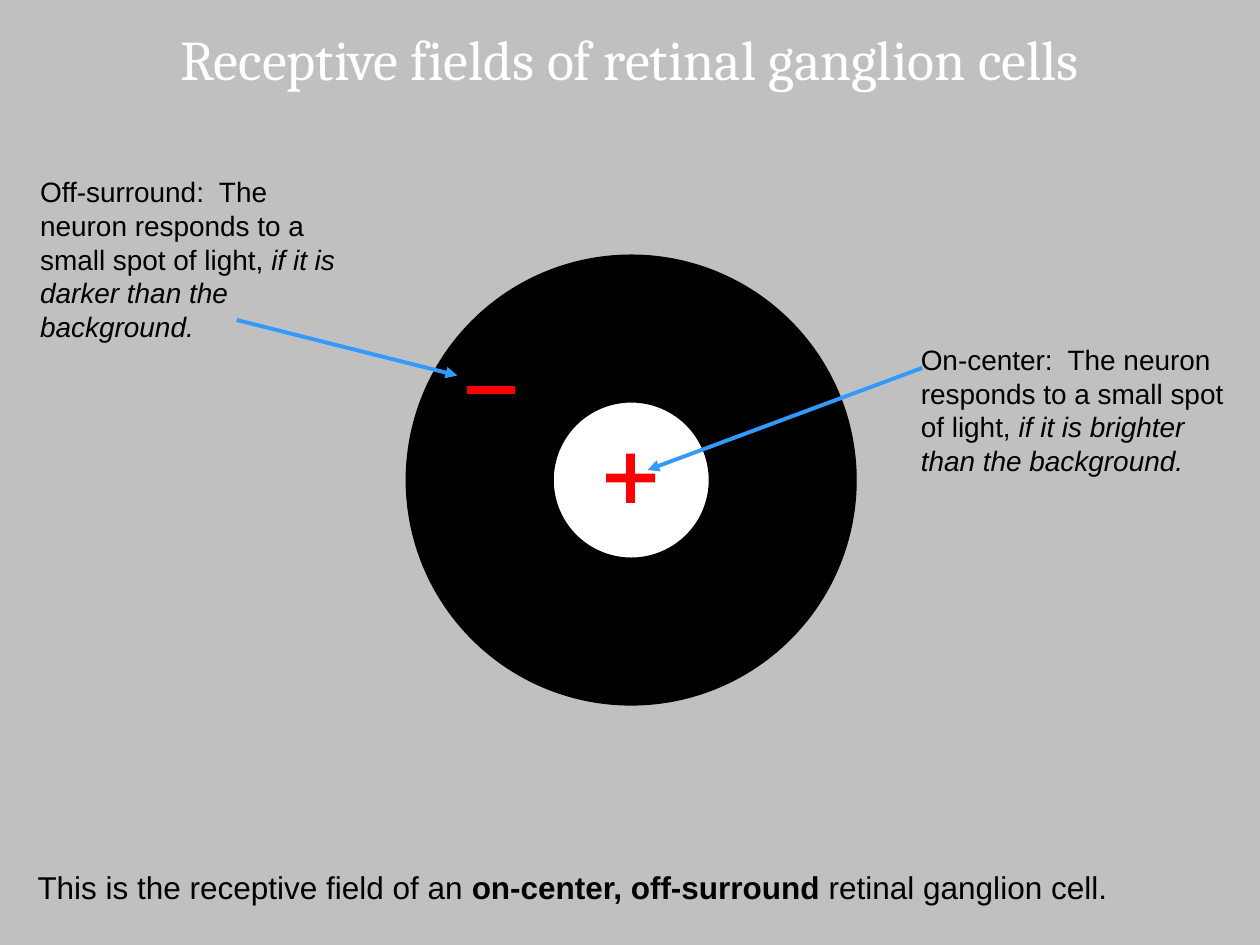
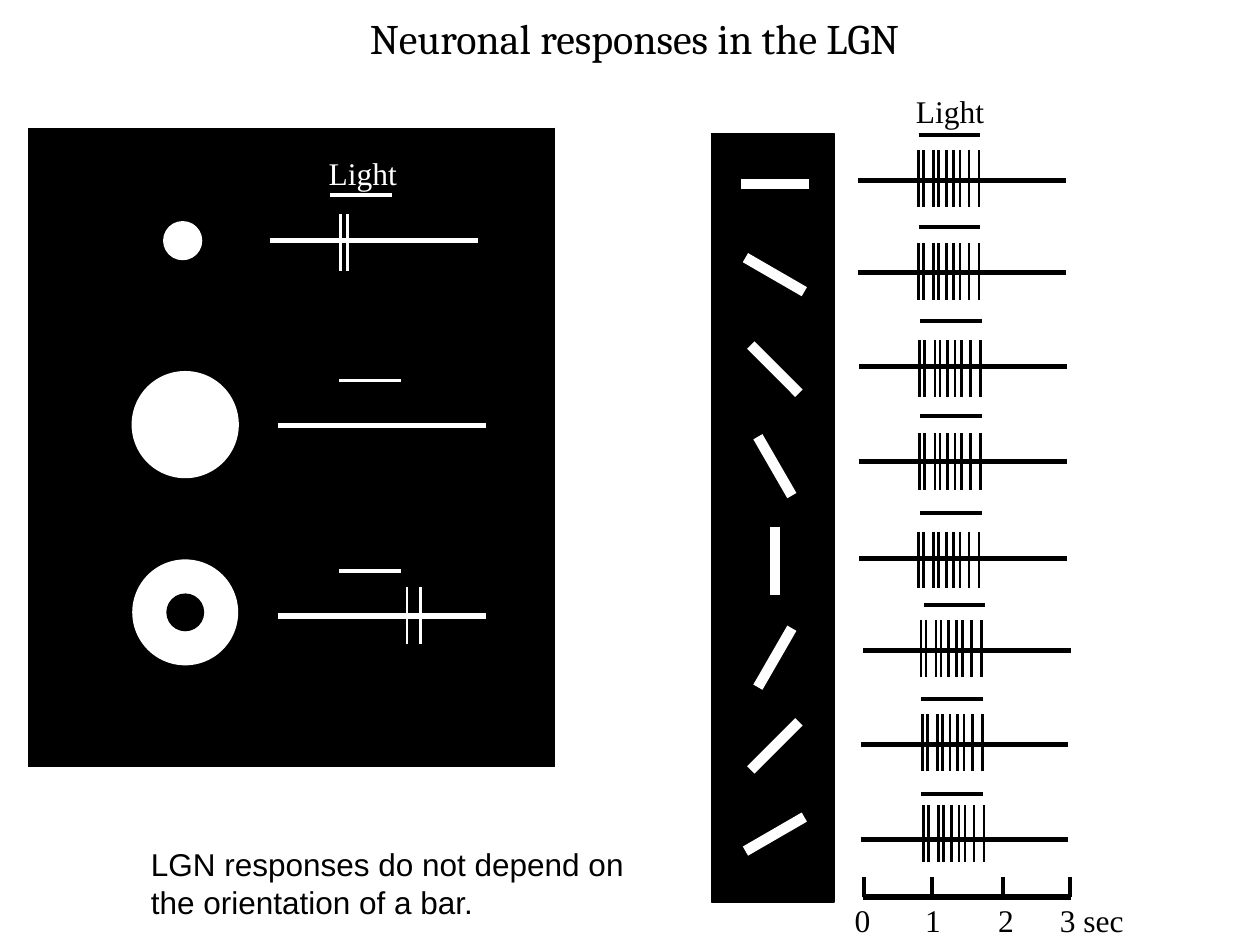
"""Build two slides on receptive fields and neuronal responses in the LGN."""
from dataclasses import dataclass
from math import cos, radians, sin

from lxml.etree import SubElement
from pptx import Presentation
from pptx.dml.color import RGBColor
from pptx.enum.shapes import MSO_CONNECTOR, MSO_SHAPE
from pptx.enum.text import MSO_ANCHOR, MSO_AUTO_SIZE, PP_ALIGN
from pptx.oxml.ns import qn
from pptx.util import Inches, Pt


@dataclass(frozen=True)
class Theme:
    black: str = "000000"
    white: str = "FFFFFF"
    grey: str = "C0C0C0"
    red: str = "FF0000"
    blue: str = "3399FF"
    title_font: str = "Cambria"
    body_font: str = "Arial"
    label_font: str = "Times New Roman"
    big_title: int = 32
    small_title: int = 24
    body: int = 18
    note: int = 16
    thin: float = 0.75
    spike: float = 1.5
    stroke: float = 2.25
    baseline: float = 3
    bar: float = 6


THEME = Theme()

FIELD_TITLE = "Receptive fields of retinal ganglion cells"
FIELD_CENTER = (5.01, 3.81)
FIELD_DISCS = [(3.57, THEME.black), (1.24, THEME.white)]
FIELD_NOTES = [
    {
        "spans": [("On-center:  The neuron responds to a small spot of light, ", ""),
                  ("if it is brighter than the background.", "italic")],
        "at": (7.21, 2.67, 2.65, 1.17),
        "arrow": ((7.32, 2.92), (5.14, 3.73)),
    },
    {
        "spans": [("Off-surround:  The neuron responds to a small spot of light, ", ""),
                  ("if it is darker than the background.", "italic")],
        "at": (0.22, 1.34, 2.65, 1.44),
        "arrow": ((1.88, 2.54), (3.63, 2.98)),
    },
]
FIELD_SUMMARY = [("This is the receptive field of an ", ""),
                 ("on-center, off-surround", "bold"),
                 (" retinal ganglion cell.", "")]
SIGN_SIZE = (0.39, 0.07)

LGN_TITLE = "Neuronal responses in the LGN"
LGN_SUMMARY = "LGN responses do not depend on the orientation of a bar."
LIGHT_LABELS = [(2.51, 1.17, THEME.white), (7.17, 0.68, THEME.black)]
SPOTS = [
    (1.45, 1.91, 0.28, THEME.white),
    (1.47, 3.37, 0.82, THEME.white),
    (1.47, 4.86, 0.81, THEME.white),
    (1.47, 4.86, 0.29, THEME.black),
]
SPOT_TRACES = [
    (2.14, 1.91, [2.70, 2.76], 1.70),
    (2.21, 3.38, [], 0),
    (2.21, 4.89, [3.23, 3.34], 4.66),
]
BAR_X, BAR_LENGTH = 6.15, 0.54
BARS = [(0, 1.46), (30, 2.18), (45, 2.93), (60, 3.7),
        (90, 4.45), (120, 5.22), (135, 5.92), (150, 6.62)]
BAR_TRACES = [
    (6.81, 1.43, 7.29, 1.19), (6.81, 2.16, 7.29, 1.93),
    (6.82, 2.91, 7.30, 2.70), (6.82, 3.66, 7.30, 3.44),
    (6.82, 4.43, 7.29, 4.22), (6.85, 5.16, 7.31, 4.92),
    (6.83, 5.91, 7.32, 5.67), (6.83, 6.66, 7.33, 6.39),
]
SPIKE_TIMES = [0, 0.04, 0.12, 0.16, 0.22, 0.28, 0.33, 0.4, 0.48]
TRACE_LENGTH, SPIKE_HEIGHT = 1.65, 0.45
LIGHT_START, LIGHT_LENGTH, LIGHT_RISE = 0.48, 0.49, 0.36
AXIS_LEFT, AXIS_Y, TICK_HEIGHT = 6.85, 7.12, 0.16
AXIS_TICKS = [6.86, 7.4, 7.96, 8.49]
AXIS_LABELS = [("0", 6.68, 0.33), ("1", 7.24, 0.33),
               ("2", 7.82, 0.33), ("3 sec", 8.31, 0.71)]


def rgb(color):
    return RGBColor.from_string(color)


def write(frame, spans, *, size, font=THEME.body_font, color=THEME.black,
          align=PP_ALIGN.LEFT, wrap=True):
    frame.word_wrap = wrap
    para = frame.paragraphs[0]
    para.alignment = align
    for text, style in [(spans, "")] if isinstance(spans, str) else spans:
        span = para.add_run()
        span.text = text
        span.font.name = font
        span.font.size = Pt(size)
        span.font.color.rgb = rgb(color)
        span.font.bold = style == "bold"
        span.font.italic = style == "italic"


def add_text(page, spans, at, **style):
    box = page.shapes.add_textbox(*map(Inches, at))
    write(box.text_frame, spans, **style)
    box.text_frame.auto_size = MSO_AUTO_SIZE.SHAPE_TO_FIT_TEXT


def add_page(deck, title, at, background, **style):
    page = deck.slides.add_slide(deck.slide_layouts[5])
    page.background.fill.solid()
    page.background.fill.fore_color.rgb = rgb(background)
    box = page.shapes.title
    box.left, box.top, box.width, box.height = map(Inches, at)
    box.text_frame.auto_size = MSO_AUTO_SIZE.NONE
    box.text_frame.vertical_anchor = MSO_ANCHOR.MIDDLE
    write(box.text_frame, title, font=THEME.title_font, align=PP_ALIGN.CENTER, **style)
    return page


def add_block(page, kind, at, fill, line=None, weight=THEME.thin):
    shape = page.shapes.add_shape(kind, *map(Inches, at))
    shape.shadow.inherit = False
    shape.fill.solid()
    shape.fill.fore_color.rgb = rgb(fill)
    if line:
        shape.line.color.rgb = rgb(line)
        shape.line.width = Pt(weight)
    else:
        shape.line.fill.background()
    return shape


def add_disc(page, x, y, size, fill, line, weight=THEME.thin):
    at = (x - size / 2, y - size / 2, size, size)
    add_block(page, MSO_SHAPE.OVAL, at, fill, line, weight)


def add_line(page, start, end, color, weight, arrow=False):
    line = page.shapes.add_connector(MSO_CONNECTOR.STRAIGHT, *map(Inches, start + end))
    line.line.color.rgb = rgb(color)
    line.line.width = Pt(weight)
    if arrow:
        SubElement(line.line._get_or_add_ln(), qn("a:tailEnd"), type="triangle")
    SubElement(line._element.spPr, qn("a:effectLst"))


def add_trace(page, left, y, spikes, top, color):
    add_line(page, (left, y), (left + TRACE_LENGTH, y), color, THEME.baseline)
    light, light_y = left + LIGHT_START, y - LIGHT_RISE
    add_line(page, (light, light_y), (light + LIGHT_LENGTH, light_y), color, THEME.stroke)
    for x in spikes:
        add_line(page, (x, top), (x, top + SPIKE_HEIGHT), color, THEME.spike)


def build_field(deck):
    page = add_page(deck, FIELD_TITLE, (0.75, 0.17, 8.5, 0.58), THEME.grey,
                    size=THEME.big_title, color=THEME.white)
    for size, fill in FIELD_DISCS:
        add_disc(page, *FIELD_CENTER, size, fill, THEME.black)
    add_block(page, MSO_SHAPE.RECTANGLE, (3.7, 3.06, *SIGN_SIZE), THEME.red, THEME.black)
    for rotation in (0, 270):
        stroke = add_block(page, MSO_SHAPE.RECTANGLE, (4.81, 3.76, *SIGN_SIZE), THEME.red)
        stroke.rotation = rotation
    for note in FIELD_NOTES:
        add_text(page, note["spans"], note["at"], size=THEME.note)
        add_line(page, *note["arrow"], THEME.blue, THEME.stroke, arrow=True)
    add_text(page, FIELD_SUMMARY, (0.2, 6.84, 8.7, 0.4), size=THEME.body, wrap=False)


def build_lgn(deck):
    page = add_page(deck, LGN_TITLE, (1.82, 0.08, 6.43, 0.44), THEME.white,
                    size=THEME.small_title)
    add_block(page, MSO_SHAPE.RECTANGLE, (0.22, 1.01, 4.19, 5.08), THEME.black, THEME.white)
    add_block(page, MSO_SHAPE.RECTANGLE, (5.65, 1.06, 0.97, 6.1), THEME.black, THEME.black)
    for x, y, size, fill in SPOTS:
        weight = THEME.stroke if fill == THEME.white else THEME.thin
        add_disc(page, x, y, size, fill, fill, weight)
    for left, y, spikes, top in SPOT_TRACES:
        add_trace(page, left, y, spikes, top, THEME.white)
    for angle, y in BARS:
        dx = cos(radians(angle)) * BAR_LENGTH / 2
        dy = sin(radians(angle)) * BAR_LENGTH / 2
        add_line(page, (BAR_X - dx, y - dy), (BAR_X + dx, y + dy), THEME.white, THEME.bar)
    for left, y, first, top in BAR_TRACES:
        add_trace(page, left, y, [first + time for time in SPIKE_TIMES], top, THEME.black)
    add_line(page, (AXIS_LEFT, AXIS_Y), (AXIS_LEFT + TRACE_LENGTH, AXIS_Y),
             THEME.black, THEME.baseline)
    for x in AXIS_TICKS:
        add_line(page, (x, AXIS_Y - TICK_HEIGHT), (x, AXIS_Y), THEME.black, THEME.stroke)
    label = {"size": THEME.body, "font": THEME.label_font,
             "align": PP_ALIGN.CENTER, "wrap": False}
    for text, left, width in AXIS_LABELS:
        add_text(page, text, (left, 7.1, width, 0.4), **label)
    for left, top, color in LIGHT_LABELS:
        add_text(page, "Light", (left, top, 0.74, 0.4), color=color, **label)
    add_text(page, LGN_SUMMARY, (1.1, 6.66, 4.33, 0.7), size=THEME.body)


def main():
    deck = Presentation()
    deck.slide_width, deck.slide_height = Inches(10), Inches(7.5)
    build_field(deck)
    build_lgn(deck)
    deck.save("out.pptx")


if __name__ == "__main__":
    main()
